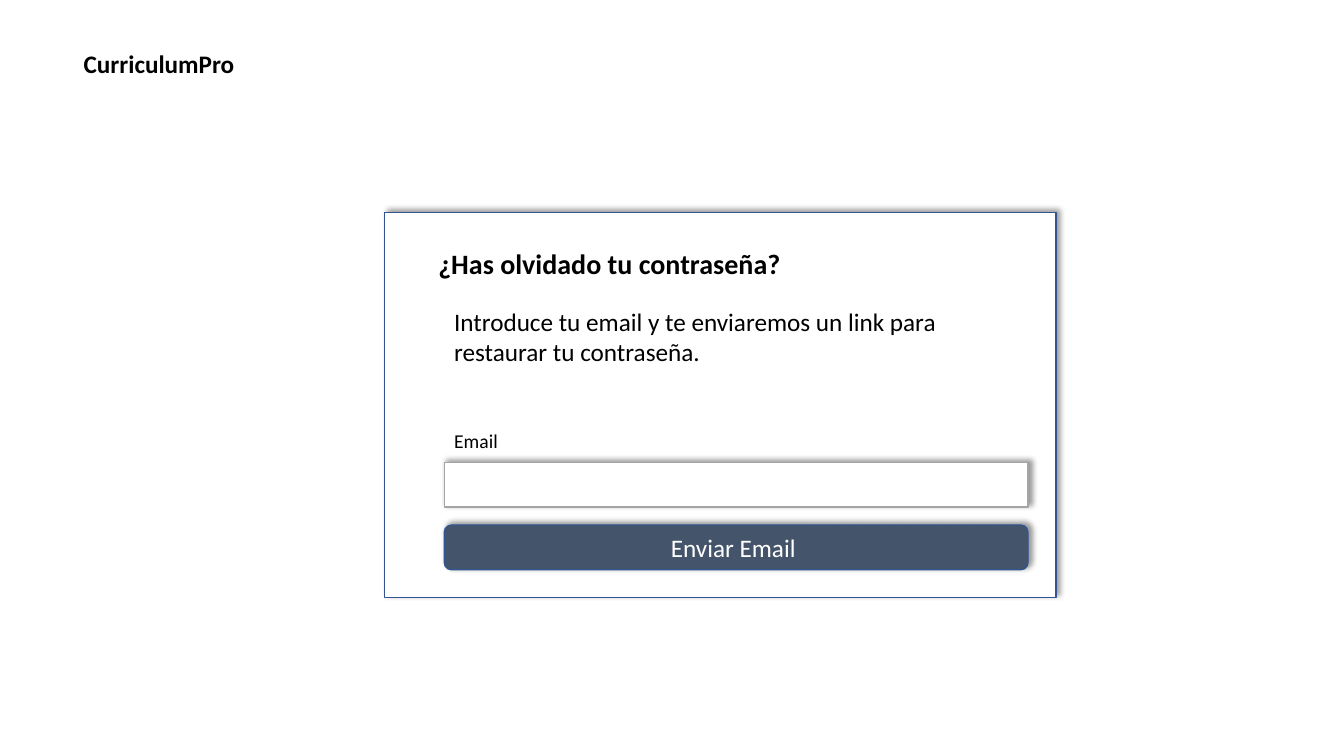
"""Build the password recovery screen of CurriculumPro."""
from lxml.etree import SubElement
from pptx import Presentation
from pptx.dml.color import RGBColor
from pptx.enum.shapes import MSO_SHAPE
from pptx.enum.text import MSO_ANCHOR, PP_ALIGN
from pptx.oxml.ns import qn
from pptx.util import Pt

COLORS = {"white": "FFFFFF", "black": "000000", "blue": "325491",
          "gray": "A5A5A5", "slate": "44546A"}
LEFT, WIDE, HIGH = 317.3, 417, 32

deck = Presentation()
deck.slide_width, deck.slide_height = Pt(960), Pt(540)
slide = deck.slides.add_slide(deck.slide_layouts[6])


def color(name):
    return RGBColor.from_string(COLORS[name])


def style(para, text, size, ink, bold=False):
    para.text = text
    font = para.font
    font.name, font.size, font.bold = "Calibri", Pt(size), bold
    font.color.rgb = color(ink)


for kind, box, fill, line, label in [
    (MSO_SHAPE.RECTANGLE, (274.7, 151.7, 479.5, 275), "white", "blue", ""),
    (MSO_SHAPE.RECTANGLE, (LEFT, 330.3, WIDE, HIGH), "white", "gray", ""),
    (MSO_SHAPE.ROUNDED_RECTANGLE, (LEFT, 375, WIDE, HIGH), "slate", "blue", "Enviar Email"),
]:
    shape = slide.shapes.add_shape(kind, *map(Pt, box))
    shape.fill.solid()
    shape.fill.fore_color.rgb = color(fill)
    shape.line.color.rgb = color(line)
    shape.line.width = Pt(1)
    shape.shadow.inherit = False
    effects = shape._element.spPr.find(qn("a:effectLst"))
    shadow = SubElement(effects, qn("a:outerShdw"), blurRad=str(Pt(4)), dist=str(Pt(3)),
                        dir=str(315 * 60000), algn="bl", rotWithShape="0")
    tint = SubElement(shadow, qn("a:srgbClr"), val=COLORS["black"])
    SubElement(tint, qn("a:alpha"), val="40000")
    if label:
        frame = shape.text_frame
        frame.margin_right = Pt(11.2)
        frame.vertical_anchor = MSO_ANCHOR.MIDDLE
        frame.paragraphs[0].alignment = PP_ALIGN.CENTER
        style(frame.paragraphs[0], label, 18, "white")

for text, box, size, bold in [
    ("CurriculumPro", (52.7, 31, 136, 51), 18, True),
    ("¿Has olvidado tu contraseña?", (306, 172.4, 440, 31.5), 20, True),
    ("Introduce tu email y te enviaremos un link para restaurar tu contraseña.",
     (LEFT, 215.3, 404.6, 51), 18, False),
    ("Email", (LEFT, 302.8, 58.3, 24.2), 14, False),
]:
    frame = slide.shapes.add_textbox(*map(Pt, box)).text_frame
    frame.word_wrap = True
    style(frame.paragraphs[0], text, size, "black", bold)

deck.save("out.pptx")
